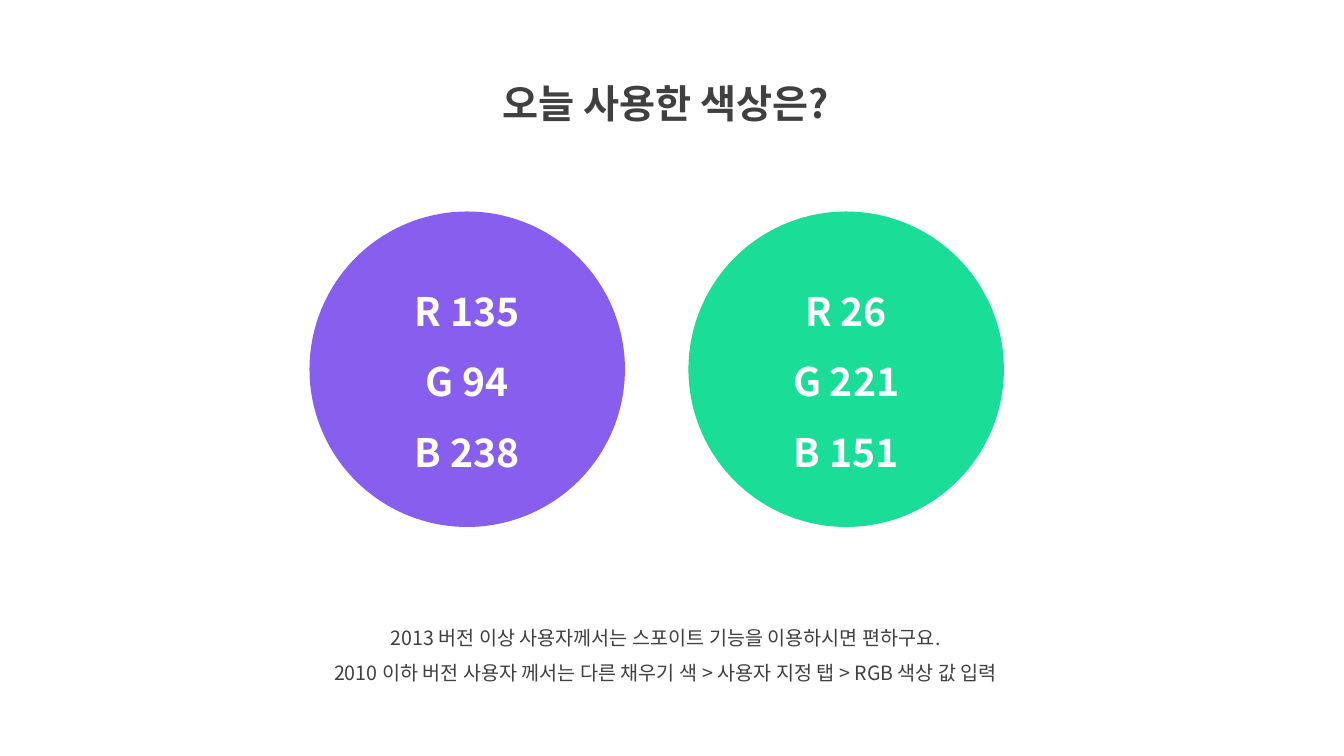
"""Build a slide that shows the two colours used today."""
from lxml.etree import SubElement
from pptx import Presentation
from pptx.dml.color import RGBColor
from pptx.enum.shapes import MSO_SHAPE
from pptx.enum.text import MSO_ANCHOR, MSO_AUTO_SIZE, PP_ALIGN
from pptx.oxml.ns import qn
from pptx.util import Cm, Pt

FONT = "Noto Sans CJK KR"
DARK = "404040"
WHITE = "FFFFFF"
DIAMETER = 7.95
CIRCLE_LEFT = 7.8
CIRCLE_STEP = 9.55
SWATCHES = [
    ("875EEE", ["R 135", "G 94", "B 238"]),
    ("1ADD97", ["R 26", "G 221", "B 151"]),
]
NOTES = [
    "2013 버전 이상 사용자께서는 스포이트 기능을 이용하시면 편하구요.",
    "2010 이하 버전 사용자 께서는 다른 채우기 색 > 사용자 지정 탭 > RGB 색상 값 입력",
]


def paint(color_format, value):
    color_format.rgb = RGBColor.from_string(value)


def write(shape, lines, size, color, bold=False, anchor=MSO_ANCHOR.TOP):
    frame = shape.text_frame
    frame.word_wrap = True
    frame.auto_size = MSO_AUTO_SIZE.NONE
    frame.vertical_anchor = anchor
    for index, line in enumerate(lines):
        para = frame.add_paragraph() if index else frame.paragraphs[0]
        para.alignment = PP_ALIGN.CENTER
        para.line_spacing = 1.5
        para.space_before = Pt(0)
        span = para.add_run()
        span.text = line
        span.font.size = Pt(size)
        span.font.bold = bold
        span.font.name = FONT
        paint(span.font.color, color)
        SubElement(span.font._element, qn("a:ea"), typeface=FONT)


def add_title(page, text):
    title = page.shapes.title
    title.left, title.top = Cm(10.9), Cm(1.27)
    title.width, title.height = Cm(11.76), Cm(1.83)
    write(title, [text], 28, DARK, bold=True)


def add_notes(page, lines):
    box = page.shapes.add_textbox(Cm(6.63), Cm(15.34), Cm(20.29), Cm(2.06))
    write(box, lines, 14, DARK)


def add_swatch(page, left, color, lines):
    circle = page.shapes.add_shape(
        MSO_SHAPE.OVAL, Cm(left), Cm(5.33), Cm(DIAMETER), Cm(DIAMETER))
    circle.shadow.inherit = False
    circle.fill.solid()
    paint(circle.fill.fore_color, color)
    circle.line.fill.background()
    write(circle, lines, 28, WHITE, bold=True, anchor=MSO_ANCHOR.MIDDLE)


def main():
    deck = Presentation()
    deck.slide_width, deck.slide_height = Cm(33.87), Cm(19.05)
    page = deck.slides.add_slide(deck.slide_layouts[5])
    add_title(page, "오늘 사용한 색상은?")
    add_notes(page, NOTES)
    for index, (color, lines) in enumerate(SWATCHES):
        add_swatch(page, CIRCLE_LEFT + index * CIRCLE_STEP, color, lines)
    deck.save("out.pptx")


if __name__ == "__main__":
    main()
